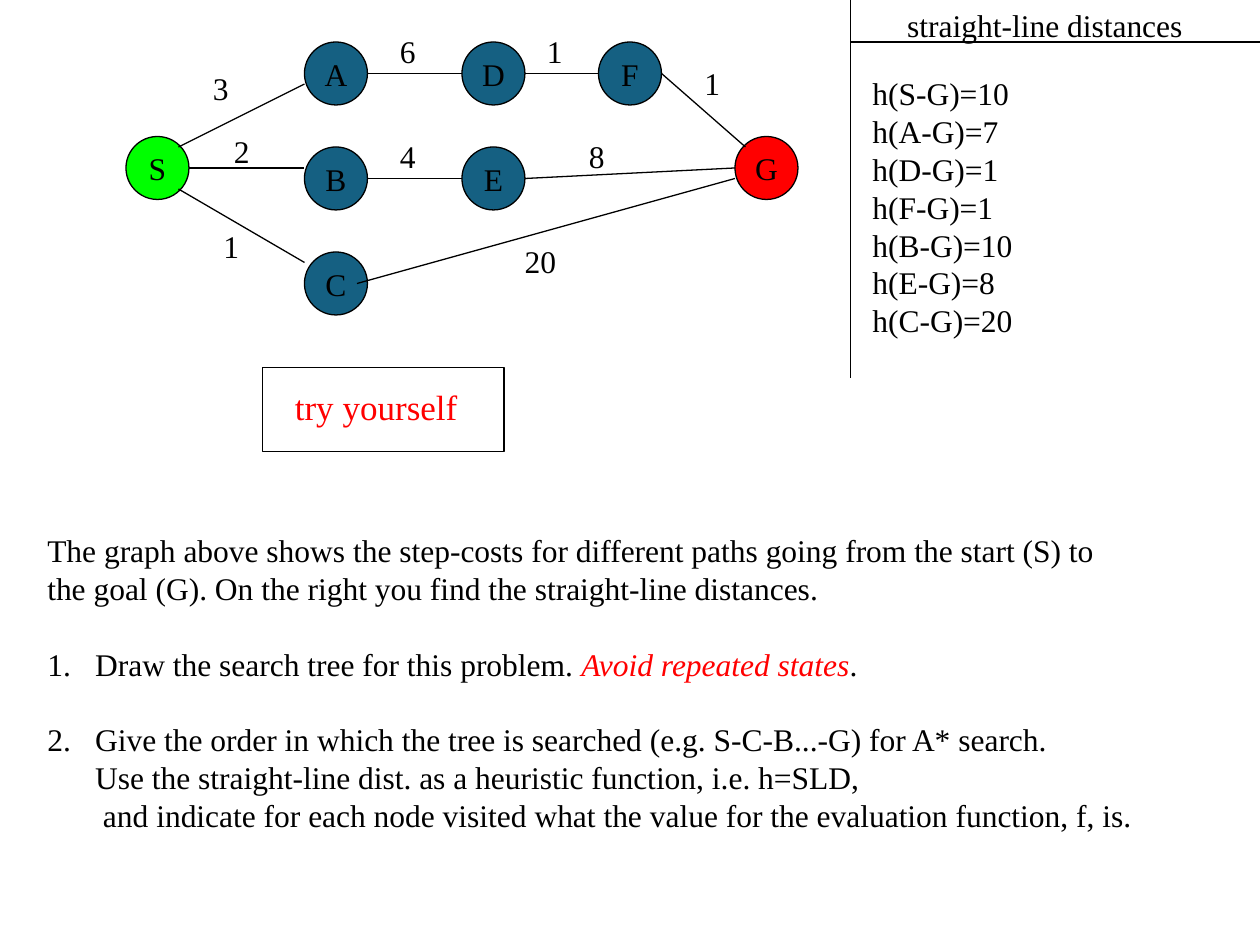
from lxml import etree
from pptx import Presentation
from pptx.dml.color import RGBColor
from pptx.enum.shapes import MSO_CONNECTOR, MSO_SHAPE
from pptx.enum.text import MSO_ANCHOR, MSO_AUTO_SIZE, PP_ALIGN
from pptx.oxml.ns import qn
from pptx.util import Inches, Pt

STRAIGHT = MSO_CONNECTOR.STRAIGHT
OVAL, RECTANGLE = MSO_SHAPE.OVAL, MSO_SHAPE.RECTANGLE
TOP, MIDDLE = MSO_ANCHOR.TOP, MSO_ANCHOR.MIDDLE
LEFT, CENTER = PP_ALIGN.LEFT, PP_ALIGN.CENTER
FIXED = MSO_AUTO_SIZE.NONE

BLACK = RGBColor(0, 0, 0)
RED = RGBColor(255, 0, 0)
GREEN = RGBColor(0, 255, 0)
BLUE = RGBColor(0x15, 0x60, 0x82)
LINE_PITCH = Pt(21.6)

deck = Presentation()
deck.slide_width, deck.slide_height = Inches(10), Inches(7.5)
CELL = deck.slide_width / 120  # the page is a grid of 120 columns by 90 rows
page = deck.slides.add_slide(deck.slide_layouts[1])


def grid(*cells):
    """Turn columns and rows of the page grid into lengths."""
    return [round(cell * CELL) for cell in cells]


def write(box, lines, size=18, color=BLACK, align=LEFT, anchor=TOP, wrap=False):
    frame = box.text_frame
    frame.text = "\n".join(lines)
    frame.word_wrap, frame.auto_size, frame.vertical_anchor = wrap, FIXED, anchor
    for para in frame.paragraphs:
        para.alignment = align
        para.space_before = Pt(0)
        if len(lines) > 1:
            para.line_spacing = LINE_PITCH
        para.font.name, para.font.size = "Times New Roman", Pt(size)
        para.font.color.rgb = color


# Graph nodes: name, column, row, colour
nodes = [
    ("S", 12, 13, GREEN), ("B", 29, 14, BLUE), ("A", 29, 4, BLUE),
    ("D", 44, 4, BLUE), ("E", 44, 14, BLUE), ("C", 29, 24, BLUE),
    ("F", 57, 4, BLUE), ("G", 70, 13, RED),
]
for name, column, row, color in nodes:
    node = page.shapes.add_shape(OVAL, *grid(column, row, 6, 6))
    node.shadow.inherit = False
    node.fill.solid()
    node.fill.fore_color.rgb = color
    node.line.color.rgb, node.line.width = BLACK, Pt(0.75)
    write(node, [name], align=CENTER, anchor=MIDDLE)

# Graph edges, then the two rules around the distance list
lines = [
    (17, 14, 29, 8), (18, 16, 29, 16), (17, 18, 29, 25),
    (35, 7, 44, 7), (35, 17, 44, 17), (34, 27, 70, 17),
    (50, 17, 70, 16), (50, 7, 57, 7), (63, 7, 71, 14),
    (81, 0, 81, 36), (81, 4, 120, 4),
]
for ends in lines:
    line = page.shapes.add_connector(STRAIGHT, *grid(*ends))
    line.line.color.rgb, line.line.width = BLACK, Pt(0.75)
    etree.SubElement(line._element.spPr, qn("a:effectLst"))

# Step costs: text, column, row
costs = [
    ("1", 20.1, 21), ("20", 48.8, 22.5), ("2", 21.1, 12), ("3", 19.1, 6),
    ("4", 36.9, 12.5), ("8", 54.9, 12.5), ("6", 36.9, 2.5), ("1", 50.9, 2.5),
    ("1", 65.9, 5.5),
]
for cost, column, row in costs:
    width = 2.3 + 1.5 * len(cost)
    label = page.shapes.add_textbox(*grid(column, row, width, 4.8))
    write(label, [cost])

# Straight-line distances
heading = page.shapes.title
heading.left, heading.top, heading.width, heading.height = grid(85.2, 0, 32, 4.8)
write(heading, ["straight-line distances"], wrap=True)

distances = {"S": 10, "A": 7, "D": 1, "F": 1, "B": 10, "E": 8, "C": 20}
distance_box = page.shapes.add_textbox(*grid(81.9, 6.5, 15.7, 26.4))
write(distance_box, [f"h({name}-G)={value}" for name, value in distances.items()])

# Call to action
call = page.shapes.add_textbox(*grid(26.9, 36.1, 17.9, 5.3))
write(call, ["try yourself"], size=20, color=RED)
border = page.shapes.add_shape(RECTANGLE, *grid(25, 35, 23, 8))
border.shadow.inherit = False
border.fill.background()
border.line.color.rgb, border.line.width = BLACK, Pt(0.75)

# Exercise: two lines of introduction, two numbered tasks and a continuation
exercise = page.placeholders[1]
exercise.left, exercise.top, exercise.width, exercise.height = grid(3.3, 50, 112, 30)
exercise_lines = [
    "The graph above shows the step-costs for different paths going from the start (S) to",
    "the goal (G). On the right you find the straight-line distances.",
    "Draw the search tree for this problem. ",
    "Give the order in which the tree is searched (e.g. S-C-B...-G) for A* search.",
    "Use the straight-line dist. as a heuristic function, i.e. h=SLD,\v"
    " and indicate for each node visited what the value for the evaluation function, f, is.",
]
INDENT = Inches(0.38)
margins = [(0, 0), (0, 0), (INDENT, -INDENT), (INDENT, -INDENT), (INDENT, 0)]
write(exercise, exercise_lines, wrap=True)
for para, (margin, indent) in zip(exercise.text_frame.paragraphs, margins):
    properties = para._p.get_or_add_pPr()
    properties.set("marL", str(margin))
    properties.set("indent", str(indent))
    bullet = etree.Element(qn("a:buAutoNum" if indent else "a:buNone"))
    if indent:
        bullet.set("type", "arabicPeriod")
        para.space_before = LINE_PITCH
    properties.find(qn("a:defRPr")).addprevious(bullet)

task = exercise.text_frame.paragraphs[2]
warning = task.add_run()
warning.text = "Avoid repeated states"
warning.font.italic = True
warning.font.color.rgb = RED
task.add_run().text = "."

deck.save("out.pptx")
